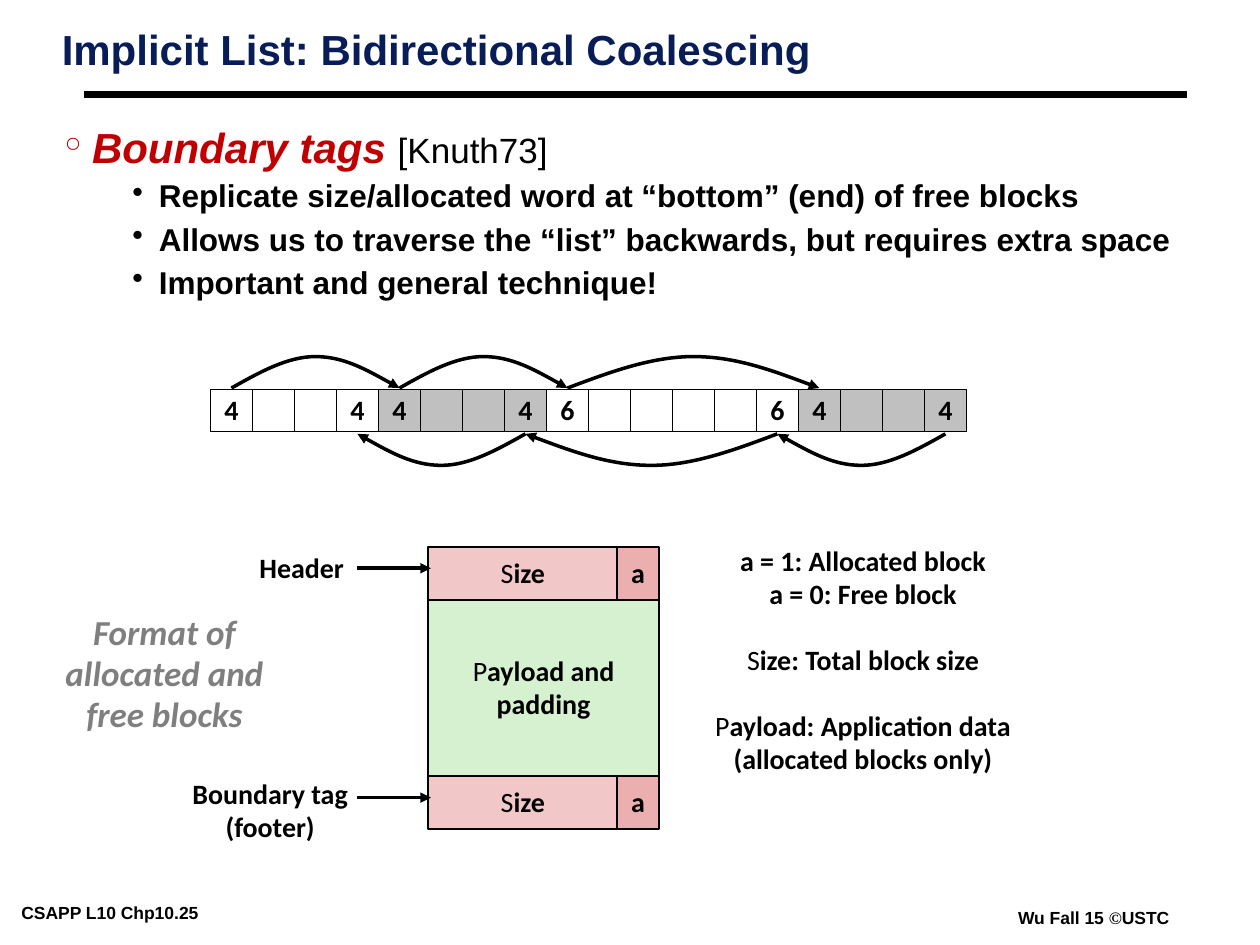
from lxml import etree
from pptx import Presentation
from pptx.dml.color import RGBColor
from pptx.enum.shapes import MSO_CONNECTOR, MSO_SHAPE
from pptx.enum.text import MSO_ANCHOR, MSO_AUTO_SIZE, PP_ALIGN
from pptx.oxml.ns import qn
from pptx.util import Inches, Pt

CENTER, LEFT = PP_ALIGN.CENTER, PP_ALIGN.LEFT
TOP, MIDDLE = MSO_ANCHOR.TOP, MSO_ANCHOR.MIDDLE
RECTANGLE, STRAIGHT = MSO_SHAPE.RECTANGLE, MSO_CONNECTOR.STRAIGHT
NO_AUTO_SIZE = MSO_AUTO_SIZE.NONE

COLORS = {
    "black": "000000", "white": "FFFFFF", "navy": "081D58", "red": "C00000",
    "gray": "7F7F7F", "allocated": "C0C0C0", "size": "F1C7C7",
    "flag": "EBAFAF", "payload": "D5F1CF",
}


def rgb(name):
    """Return the named colour."""
    return RGBColor.from_string(COLORS[name])


def style_run(run, size, font="Arial", color="black", bold=True, italic=False):
    """Format one run."""
    run.font.size, run.font.name = Pt(size), font
    run.font.bold, run.font.italic = bold, italic
    run.font.color.rgb = rgb(color)


def set_frame(frame, insets, wrap, anchor=TOP):
    """Set the insets, wrapping and anchor of a text frame."""
    frame.margin_left = frame.margin_right = Inches(insets[0])
    frame.margin_top = frame.margin_bottom = Inches(insets[1])
    frame.word_wrap, frame.vertical_anchor = wrap, anchor
    frame.auto_size = NO_AUTO_SIZE


def add_text_box(slide, box, insets, wrap):
    """Add an empty text box and return its frame."""
    frame = slide.shapes.add_textbox(*map(Inches, box)).text_frame
    set_frame(frame, insets, wrap)
    return frame


def write_label(frame, lines, size=16, color="black", italic=False, light_initial=()):
    """Write centred lines; those in light_initial start with a regular letter."""
    frame.text = "\n".join(lines)
    for index, paragraph in enumerate(frame.paragraphs):
        paragraph.alignment, paragraph.line_spacing = CENTER, 0.98
        if index in light_initial:
            text = lines[index]
            paragraph.text = text[0]
            paragraph.add_run().text = text[1:]
        for position, run in enumerate(paragraph.runs):
            bold = index not in light_initial or position > 0
            style_run(run, size, "Calibri", color, bold, italic)


def add_label(slide, box, lines, **style):
    """Add an unfilled centred label."""
    frame = add_text_box(slide, box, (0.1, 0.05), False)
    write_label(frame, lines, **style)
    return frame


def add_cell(slide, box, fill, line_width, lines=(), **style):
    """Add a bordered rectangle with optional text."""
    shape = slide.shapes.add_shape(RECTANGLE, *map(Inches, box))
    shape.shadow.inherit = False
    shape.fill.solid()
    shape.fill.fore_color.rgb = rgb(fill)
    shape.line.color.rgb, shape.line.width = rgb("black"), Pt(line_width)
    set_frame(shape.text_frame, (0.1, 0.05), False, MIDDLE)
    if lines:
        write_label(shape.text_frame, lines, **style)


def set_stroke(shape, width, arrow=True):
    """Draw a black stroke, with an arrowhead at its end if asked."""
    shape.line.color.rgb, shape.line.width = rgb("black"), Pt(width)
    if arrow:
        etree.SubElement(shape.line._get_or_add_ln(), qn("a:tailEnd"), type="triangle")


def add_line(slide, start, end, width, arrow=True):
    """Add a straight line."""
    line = slide.shapes.add_connector(STRAIGHT, *map(Inches, start + end))
    set_stroke(line, width, arrow)
    etree.SubElement(line._element.spPr, qn("a:effectLst"))


def add_arc(slide, start, end, baseline, rise):
    """Add a curved arrow made of two Bezier segments."""
    heights = (0, 0.5, 1, 1, 1, 0.5, 0)
    points = [(Inches(start + (end - start) * step / 6), Inches(baseline + rise * height))
              for step, height in enumerate(heights)]
    builder = slide.shapes.build_freeform(*points[0])
    builder.add_line_segments(points[1:], close=False)
    shape = builder.convert_to_shape()
    segments = list(shape._element.iter(qn("a:lnTo")))
    outline = segments[0].getparent()
    for first in range(0, len(segments), 3):
        curve = etree.SubElement(outline, qn("a:cubicBezTo"))
        for segment in segments[first:first + 3]:
            curve.append(segment[0])
            outline.remove(segment)
    shape.shadow.inherit = False
    shape.fill.background()
    set_stroke(shape, 2)


def add_title(slide, box):
    """Place the slide title and the rule under it."""
    title = slide.shapes.title
    title.left, title.top, title.width, title.height = map(Inches, box)
    set_frame(title.text_frame, (0.07, 0.03), True)
    title.text_frame.text = "Implicit List: Bidirectional Coalescing"
    paragraph = title.text_frame.paragraphs[0]
    paragraph.alignment, paragraph.line_spacing = LEFT, 0.87
    style_run(paragraph.runs[0], 24, color="navy")
    add_line(slide, (0.67, 0.75), (9.42, 0.75), 4.5, arrow=False)


def set_bullet(paragraph, character, color, margin, hang):
    """Give a paragraph a hanging bullet."""
    properties = paragraph._p.get_or_add_pPr()
    properties.set("marL", str(Inches(margin)))
    properties.set("indent", str(-Inches(hang)))
    bullet_color = etree.SubElement(properties, qn("a:buClr"))
    etree.SubElement(bullet_color, qn("a:srgbClr"), val=COLORS[color])
    etree.SubElement(properties, qn("a:buChar"), char=character)


def add_bullets(slide, box):
    """Write the heading bullet and its points."""
    frame = add_text_box(slide, box, (0.07, 0.03), True)
    frame.text = "\n".join((
        "Boundary tags ",
        "Replicate size/allocated word at “bottom” (end) of free blocks",
        "Allows us to traverse the “list” backwards, but requires extra space",
        "Important and general technique!",
    ))
    heading, *points = frame.paragraphs
    set_bullet(heading, "°", "red", 0.22, 0.22)
    heading.line_spacing = 0.83
    style_run(heading.runs[0], 24, color="red", italic=True)
    citation = heading.add_run()
    citation.text = "[Knuth73]"
    style_run(citation, 20, bold=False)
    for paragraph in points:
        paragraph.level = 1
        set_bullet(paragraph, "•", "black", 0.75, 0.21)
        paragraph.line_spacing, paragraph.space_before = 0.88, Pt(5.6)
        style_run(paragraph.runs[0], 18)


def add_memory_row(slide, left, top, cell):
    """Draw the blocks in memory and the arrows between their tags."""
    blocks = ((4, "white"), (4, "allocated"), (6, "white"), (4, "allocated"))
    headers, footers = [], []
    for size, fill in blocks:
        for index in range(size):
            lines = [str(size)] if index in (0, size - 1) else ()
            add_cell(slide, (left + index * cell, top, cell, cell), fill, 0.25, lines)
        headers.append(left + cell / 2)
        left += size * cell
        footers.append(left - cell / 2)
    for start, end in zip(headers, headers[1:]):
        add_arc(slide, start, end, top - 0.01, -0.25)
    for end, start in zip(footers, footers[1:]):
        add_arc(slide, start, end, top + cell + 0.02, 0.25)


def add_block_format(slide, left, top):
    """Draw the block layout with its tags and labels."""
    size_width, flag_width, tag_height, payload_height = 1.5, 0.33, 0.42, 1.4
    payload_top = top + tag_height
    add_cell(slide, (left, payload_top, size_width + flag_width, payload_height),
             "payload", 1, ["Payload and", "padding"], light_initial=(0,))
    for tag_top in (top, payload_top + payload_height):
        add_cell(slide, (left, tag_top, size_width, tag_height), "size", 1,
                 ["Size"], light_initial=(0,))
        add_cell(slide, (left + size_width, tag_top, flag_width, tag_height),
                 "flag", 1, ["a"])
        arrow_y = tag_top + 0.17
        add_line(slide, (left - 0.57, arrow_y), (left + 0.02, arrow_y), 2)
    add_label(slide, (1.96, 4.33, 0.87, 0.36), ["Header"])
    add_label(slide, (1.43, 6.13, 1.43, 0.62), ["Boundary tag", "(footer)"])
    add_label(slide, (0.42, 4.81, 1.77, 1.08),
              ["Format of", "allocated and", "free blocks"],
              size=20, color="gray", italic=True)


def add_legend(slide, box):
    """Explain the fields of a block."""
    frame = add_label(slide, box, [
        "a = 1: Allocated block", "a = 0: Free block", "Size: Total block size",
        "Payload: Application data", "(allocated blocks only)"], light_initial=(2, 3))
    for paragraph in frame.paragraphs[2:4]:
        paragraph.space_before = Pt(19)


def add_footer(slide, box, pieces):
    """Write a footer from (text, font) pieces."""
    paragraph = add_text_box(slide, box, (0.07, 0.03), True).paragraphs[0]
    for text, font in pieces:
        run = paragraph.add_run()
        run.text = text
        style_run(run, 10, font)


def main():
    """Build and save the slide."""
    presentation = Presentation()
    presentation.slide_width, presentation.slide_height = Inches(10), Inches(7.5)
    slide = presentation.slides.add_slide(presentation.slide_layouts[5])
    add_title(slide, (0.42, 0.21, 9.58, 0.63))
    add_bullets(slide, (0.44, 1, 9.09, 1.45))
    add_memory_row(slide, 1.67, 3.09, 1 / 3)
    add_block_format(slide, 3.4, 4.34)
    add_legend(slide, (5.57, 4.28, 2.56, 2.19))
    add_footer(slide, (0.1, 7.13, 2.1, 0.22), [("CSAPP L10 Chp10.25", "Arial")])
    add_footer(slide, (8.01, 7.17, 1.38, 0.22),
               [("Wu Fall 15 ", "Arial"), ("©", "Times New Roman"), ("USTC", "Arial")])
    presentation.save("out.pptx")


if __name__ == "__main__":
    main()
